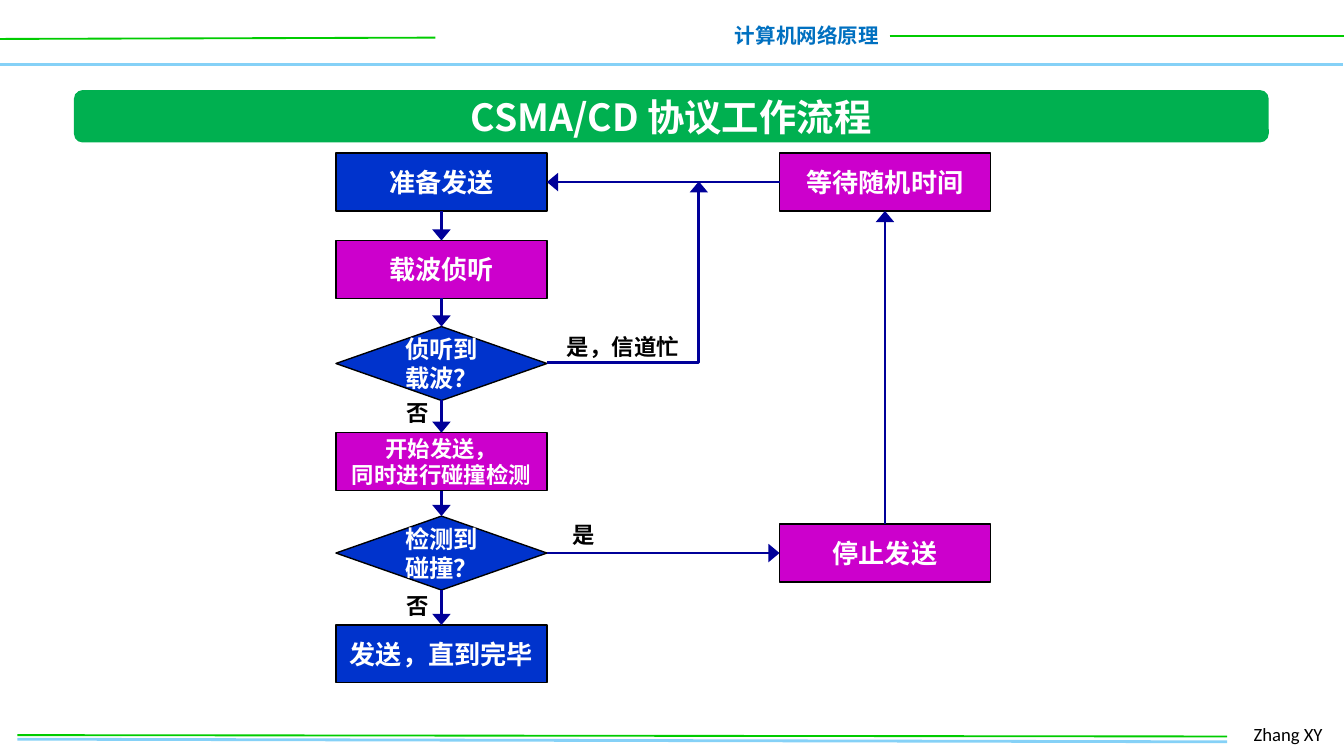
import pptx
import pptx.util
import pptx.dml.color
import pptx.enum.shapes
import pptx.enum.text
import pptx.oxml.ns
from lxml import etree

Inches = pptx.util.Inches
Pt = pptx.util.Pt
qn = pptx.oxml.ns.qn
SHAPE = pptx.enum.shapes.MSO_SHAPE
CONNECTOR = pptx.enum.shapes.MSO_CONNECTOR
ALIGN = pptx.enum.text.PP_ALIGN
ANCHOR = pptx.enum.text.MSO_ANCHOR

COLORS = {
    "sky": "85D1F7", "lime": "00CC00", "header": "0070C0", "title": "00B050",
    "blue": "0033CC", "magenta": "CC00CC", "arrow": "000099",
    "black": "000000", "white": "FFFFFF",
}
CJK = "Noto Sans CJK SC"
TOP, LEFT, BOTTOM, RIGHT = range(4)
BOX_W, BOX_H, DIAMOND_H = 1.57, 0.43, 0.55
MAIN_X, SIDE_X = 2.5, 5.8


def rgb(name):
    return pptx.dml.color.RGBColor.from_string(COLORS[name])


def add_text(tf, lines, size, color, align, bold=True, font=CJK):
    for i, line in enumerate(lines):
        p = tf.paragraphs[0] if i == 0 else tf.add_paragraph()
        p.alignment = align
        r = p.add_run()
        r.text = line
        r.font.size = Pt(size)
        r.font.bold = bold
        r.font.name = font
        r.font.color.rgb = rgb(color)
        ea = etree.SubElement(r.font._element, qn("a:ea"))
        ea.set("typeface", font)


def add_label(s, at, text, size=12, color="black", align=ALIGN.LEFT, **style):
    tf = s.shapes.add_textbox(*map(Inches, at)).text_frame
    tf.word_wrap = False
    add_text(tf, [text], size, color, align, **style)


def add_line(s, start, end, color, width, kind=CONNECTOR.STRAIGHT):
    line = s.shapes.add_connector(kind, *map(Inches, start + end))
    line.line.color.rgb = rgb(color)
    line.line.width = Pt(width)
    etree.SubElement(line._element.spPr, qn("a:effectLst"))
    return line


def add_arrow(s, start=(0, 0), end=(0, 0), kind=CONNECTOR.STRAIGHT):
    arrow = add_line(s, start, end, "arrow", 1.5, kind)
    head = etree.SubElement(arrow.line._get_or_add_ln(), qn("a:tailEnd"))
    head.set("type", "triangle")
    head.set("w", "lg")
    return arrow


def join(s, source, source_side, target, target_side):
    arrow = add_arrow(s)
    arrow.begin_connect(source, source_side)
    arrow.end_connect(target, target_side)


def add_step(s, x, y, lines, fill, size=14, kind=SHAPE.RECTANGLE, h=BOX_H):
    sp = s.shapes.add_shape(kind, Inches(x), Inches(y), Inches(BOX_W), Inches(h))
    sp.shadow.inherit = False
    sp.fill.solid()
    sp.fill.fore_color.rgb = rgb(fill)
    sp.line.color.rgb = rgb("black")
    sp.line.width = Pt(0.75)
    tf = sp.text_frame
    tf.word_wrap = True
    tf.vertical_anchor = ANCHOR.MIDDLE
    tf.margin_left = tf.margin_right = Inches(0.05)
    tf.margin_top = tf.margin_bottom = 0
    add_text(tf, lines, size, "white", ALIGN.CENTER)
    return sp


def add_decision(s, y, text):
    return add_step(s, MAIN_X, y, [text], "blue", 13, SHAPE.DIAMOND, DIAMOND_H)


def add_frame(s):
    # Header and footer rules
    for start, end, color, width in [
        ((-0.01, 0.48), (9.99, 0.48), "sky", 2),
        ((0, 0.29), (3.24, 0.28), "lime", 1),
        ((6.62, 0.27), (10.01, 0.27), "lime", 1),
        ((0.13, 5.5), (9.13, 5.52), "sky", 1.5),
        ((0.13, 5.47), (9.13, 5.48), "lime", 1),
    ]:
        add_line(s, start, end, color, width)
    add_label(s, (5.36, 0.12, 1.28, 0.29), "计算机网络原理", 11, "header", ALIGN.RIGHT)
    add_label(s, (9.23, 5.33, 0.74, 0.27), "Zhang XY", 10, bold=False, font="Calibri")


def add_title(s):
    bar = s.shapes.add_shape(SHAPE.ROUNDED_RECTANGLE, Inches(0.55), Inches(0.67),
                             Inches(8.89), Inches(0.39))
    bar.shadow.inherit = False
    bar.fill.solid()
    bar.fill.fore_color.rgb = rgb("title")
    bar.line.fill.background()
    add_label(s, (3.31, 0.65, 3.37, 0.44), "CSMA/CD 协议工作流程", 20, "white", ALIGN.CENTER)


def add_flow(s):
    # Main column, top to bottom
    ready = add_step(s, MAIN_X, 1.14, ["准备发送"], "blue")
    listen = add_step(s, MAIN_X, 1.79, ["载波侦听"], "magenta")
    carrier = add_decision(s, 2.43, "侦听到载波？")
    send = add_step(s, MAIN_X, 3.22, ["开始发送，", "同时进行碰撞检测"], "magenta", 12)
    collision = add_decision(s, 3.84, "检测到碰撞？")
    done = add_step(s, MAIN_X, 4.65, ["发送，直到完毕"], "blue")
    column = [ready, listen, carrier, send, collision, done]
    for upper, lower in zip(column, column[1:]):
        join(s, upper, BOTTOM, lower, TOP)

    # Collision branch back to the start
    stop = add_step(s, SIDE_X, 3.9, ["停止发送"], "magenta")
    wait = add_step(s, SIDE_X, 1.14, ["等待随机时间"], "magenta")
    join(s, collision, RIGHT, stop, LEFT)
    join(s, stop, TOP, wait, BOTTOM)
    join(s, wait, LEFT, ready, RIGHT)

    # Busy channel: right, then up to the return arrow
    busy = add_arrow(s, (MAIN_X + BOX_W, 2.7), (5.2, 1.35), CONNECTOR.ELBOW)
    busy._element.spPr.find(qn("a:prstGeom")).set("prst", "bentConnector2")

    # Branch labels
    add_label(s, (4.12, 2.43, 1.04, 0.3), "是，信道忙")
    add_label(s, (4.16, 3.83, 0.37, 0.3), "是")
    for y in (2.92, 4.36):
        add_label(s, (2.93, y, 0.37, 0.3), "否")


def main():
    prs = pptx.Presentation()
    prs.slide_width = Inches(10)
    prs.slide_height = Inches(10 * 9 / 16)
    s = prs.slides.add_slide(prs.slide_layouts[6])
    add_frame(s)
    add_title(s)
    add_flow(s)
    prs.save("out.pptx")


if __name__ == "__main__":
    main()
